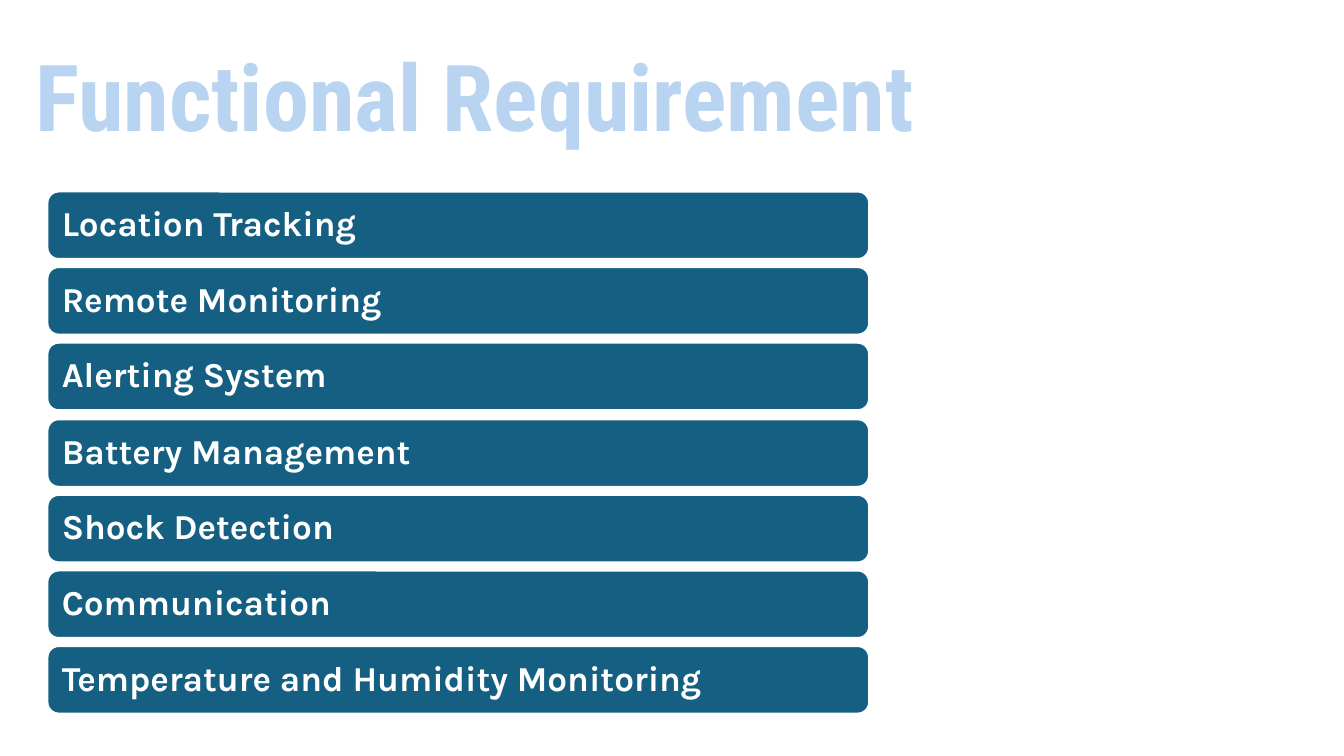
from lxml.etree import SubElement
from pptx import Presentation
from pptx.dml.color import RGBColor
from pptx.enum.dml import MSO_PATTERN
from pptx.enum.shapes import MSO_SHAPE
from pptx.enum.text import MSO_ANCHOR, MSO_AUTO_SIZE, PP_ALIGN
from pptx.oxml import parse_xml
from pptx.oxml.ns import nsdecls
from pptx.util import Pt

SCALE = 9144  # EMU per px, 100 px to the inch
WHITE = RGBColor(0xFF, 0xFF, 0xFF)
TEAL = RGBColor(0x15, 0x60, 0x82)
NAVY = RGBColor(0x0E, 0x28, 0x41)
SKY = RGBColor(0xB8, 0xD4, 0xF0)
INK = RGBColor(0x0B, 0x1E, 0x31)

NEEDS = [
    "Location Tracking",
    "Remote Monitoring",
    "Alerting System",
    "Battery Management",
    "Shock Detection",
    "Communication",
    "Temperature and Humidity Monitoring",
]


def px(n):
    return n * SCALE


class Deck:
    def __init__(self, width, height):
        self.prs = Presentation()
        self.prs.slide_width, self.prs.slide_height = px(width), px(height)
        self.slide = self.prs.slides.add_slide(self.prs.slide_layouts[5])

    def label(self, shape, text, face, size, anchor):
        frame = shape.text_frame
        frame.text = text
        frame.word_wrap = True
        frame.auto_size = MSO_AUTO_SIZE.NONE
        frame.vertical_anchor = anchor
        para = frame.paragraphs[0]
        para.alignment = PP_ALIGN.LEFT
        para.line_spacing = 0.9
        font = para.runs[0].font
        font.name, font.size, font.bold = face, Pt(size), True
        return para

    def title(self, text, left, top, width, height):
        box = self.slide.shapes.title
        box.left, box.top = px(left), px(top)
        box.width, box.height = px(width), px(height)
        para = self.label(box, text, "Roboto Condensed", 66, MSO_ANCHOR.BOTTOM)
        para.space_after = Pt(10)
        font = para.runs[0].font
        font.fill.patterned()
        font.fill.pattern = MSO_PATTERN.DARK_UPWARD_DIAGONAL
        font.fill.fore_color.rgb = NAVY
        font.fill.back_color.rgb = SKY
        # Thin outline around the letters
        line = parse_xml(f'<a:ln {nsdecls("a")} w="{Pt(1)}"><a:solidFill/></a:ln>')
        SubElement(line[0], line.tag.replace("}ln", "}srgbClr"), val=str(INK))
        para.runs[0]._r.get_or_add_rPr().insert(0, line)

    def bar(self, text, left, top, width, height):
        bar = self.slide.shapes.add_shape(
            MSO_SHAPE.ROUNDED_RECTANGLE, px(left), px(top), px(width), px(height))
        bar.shadow.inherit = False
        bar.fill.solid()
        bar.fill.fore_color.rgb = TEAL
        bar.line.color.rgb = WHITE
        bar.line.width = Pt(1.5)
        para = self.label(bar, text, "Karla", 25, MSO_ANCHOR.MIDDLE)
        para.runs[0].font.color.rgb = WHITE
        frame = bar.text_frame
        # The rounded corner itself insets the text by a few px
        frame.margin_left = frame.margin_right = px(11)
        frame.margin_top = frame.margin_bottom = px(10)


def main():
    deck = Deck(1333, 750)

    # Heading
    deck.title("Functional Requirement", 25, 14, 937, 141)

    # Evenly spaced bars between the first and last top
    first, last = 190, 641
    for i, need in enumerate(NEEDS):
        top = first + round((last - first) * i / (len(NEEDS) - 1))
        deck.bar(need, 47, top, 815, 67)

    deck.prs.save("out.pptx")


if __name__ == "__main__":
    main()
